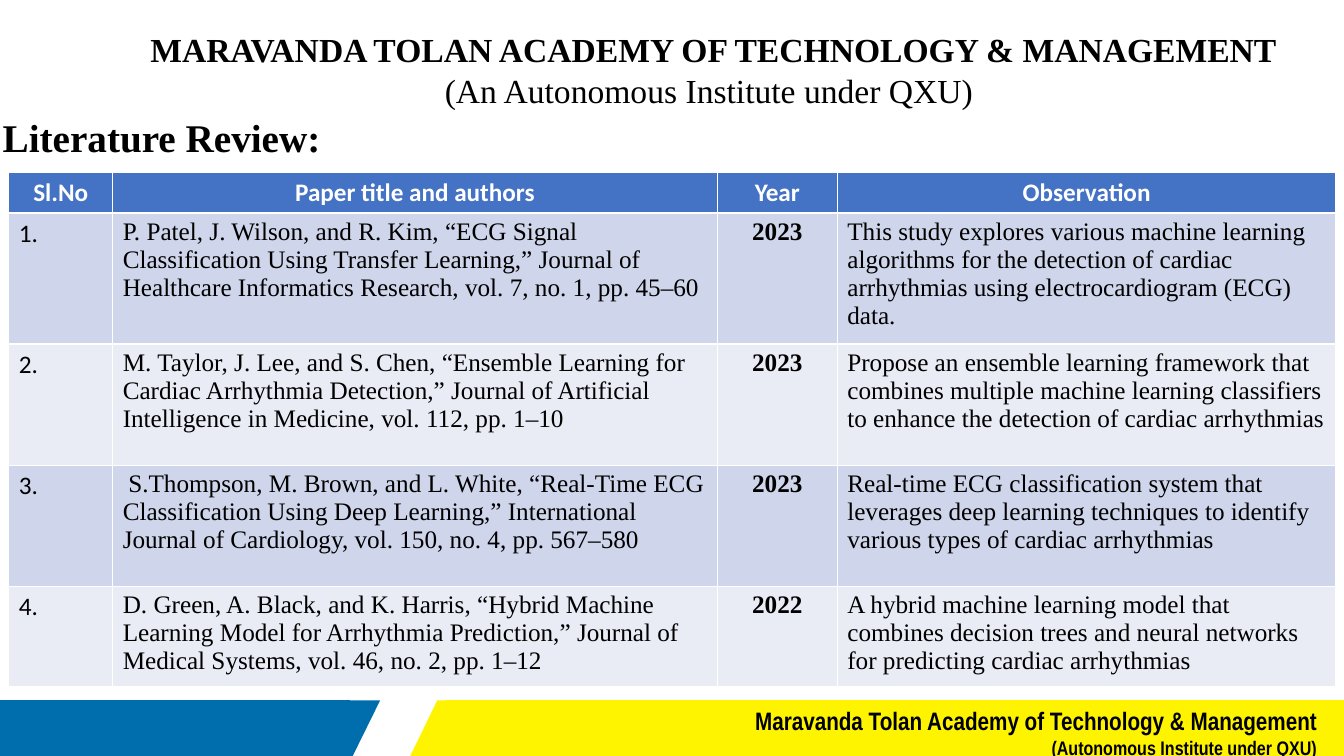
"""Build the literature review slide with its heading, table and footer band."""
from dataclasses import dataclass

import pptx
import pptx.dml.color
import pptx.enum.text
import pptx.slide
import pptx.table
import pptx.text.text
import pptx.util

Cm = pptx.util.Cm
RGBColor = pptx.dml.color.RGBColor
Align = pptx.enum.text.PP_ALIGN

BLACK = RGBColor(0x00, 0x00, 0x00)
WHITE = RGBColor(0xFF, 0xFF, 0xFF)
YELLOW = RGBColor(0xFF, 0xF4, 0x00)
BLUE = RGBColor(0x00, 0x6E, 0xAD)
HEADER_FILL = RGBColor(0x44, 0x72, 0xC4)
ROW_FILLS = (RGBColor(0xCF, 0xD5, 0xEA), RGBColor(0xE9, 0xEB, 0xF5))

SERIF = "Times New Roman"
SANS = "Calibri"
NARROW = "Arial Narrow"

SLIDE_WIDTH = 33.87
SLIDE_HEIGHT = 19.05
BAND_TOP = 17.65
COLUMN_WIDTHS = (2.62, 15.24, 3.02, 12.57)
ROW_HEIGHTS = (0.94, 3.05, 3.05, 3.05, 2.36)


@dataclass(frozen=True)
class Band:
    """A footer piece given by its left and right ends on top and bottom."""
    top_left: float
    top_right: float
    bottom_left: float
    bottom_right: float
    color: RGBColor


@dataclass(frozen=True)
class Line:
    """A paragraph and its look; indent is the first-line indent in cm."""
    text: str
    size: float
    font: str
    bold: bool = False
    align: Align = Align.LEFT
    color: RGBColor = BLACK
    indent: float = 0


@dataclass(frozen=True)
class TextBox:
    """A text box with its place and inner margins in cm."""
    left: float
    top: float
    width: float
    height: float
    lines: tuple[Line, ...]
    margins: tuple[float, float, float, float] = (0.25, 0.13, 0.25, 0.13)


@dataclass(frozen=True)
class Paper:
    """A reviewed paper."""
    citation: str
    year: int
    observation: str
    indent: float = 0


BANDS = (
    Band(11.02, 13.55, 10.34, 12.85, YELLOW),
    Band(7.06, 9.58, 6.38, 8.89, BLUE),
    Band(11.25, SLIDE_WIDTH, 11.25, SLIDE_WIDTH, YELLOW),
    Band(0, 8.81, 0, 8.81, BLUE),
)

TEXT_BOXES = (
    TextBox(2.69, 0.61, 30.35, 2.31, (
        Line("MARAVANDA TOLAN ACADEMY OF TECHNOLOGY & MANAGEMENT", 24, SERIF, True, indent=0.85),
        Line("(An Autonomous Institute under QXU)", 24, SERIF, align=Align.CENTER),
    )),
    TextBox(13.54, 17.7, 19.66, 1.45, (
        Line("Maravanda Tolan Academy of Technology & Management", 18, NARROW, True, Align.RIGHT),
        Line("(Autonomous Institute under QXU)", 14, NARROW, True, Align.RIGHT),
    ), (0, 0.08, 0, 0)),
    TextBox(-0.43, 2.72, 29.62, 6.25, (
        Line("Literature Review:", 28, SERIF, True),
    ), (0.5, 0.13, 0.25, 0.13)),
)

HEADINGS = ("Sl.No", "Paper title and authors", "Year", "Observation")

PAPERS = (
    Paper("P. Patel, J. Wilson, and R. Kim, “ECG Signal Classification Using Transfer Learning,” "
          "Journal of Healthcare Informatics Research, vol. 7, no. 1, pp. 45–60", 2023,
          "This study explores various machine learning algorithms for the detection of cardiac "
          "arrhythmias using electrocardiogram (ECG) data."),
    Paper("M. Taylor, J. Lee, and S. Chen, “Ensemble Learning for Cardiac Arrhythmia Detection,” "
          "Journal of Artificial Intelligence in Medicine, vol. 112, pp. 1–10", 2023,
          "Propose an ensemble learning framework that combines multiple machine learning "
          "classifiers to enhance the detection of cardiac arrhythmias"),
    Paper("S.Thompson, M. Brown, and L. White, “Real-Time ECG Classification Using Deep Learning,” "
          "International Journal of Cardiology, vol. 150, no. 4, pp. 567–580", 2023,
          "Real-time ECG classification system that leverages deep learning techniques to identify "
          "various types of cardiac arrhythmias", 0.14),
    Paper("D. Green, A. Black, and K. Harris, “Hybrid Machine Learning Model for Arrhythmia "
          "Prediction,” Journal of Medical Systems, vol. 46, no. 2, pp. 1–12", 2022,
          "A hybrid machine learning model that combines decision trees and neural networks for "
          "predicting cardiac arrhythmias"),
)


def write_line(paragraph: pptx.text.text._Paragraph, line: Line) -> None:
    """Fill a paragraph with a line of text and format it."""
    paragraph.text = line.text
    paragraph.alignment = line.align
    paragraph.font.name = line.font
    paragraph.font.size = pptx.util.Pt(line.size)
    paragraph.font.bold = line.bold
    paragraph.font.color.rgb = line.color
    if line.indent:
        properties = paragraph._p.get_or_add_pPr()
        properties.set("marL", "0")
        properties.set("indent", str(Cm(line.indent)))


def draw_band(slide: pptx.slide.Slide, band: Band) -> None:
    """Draw one piece of the footer band."""
    builder = slide.shapes.build_freeform(Cm(band.top_right), Cm(BAND_TOP))
    builder.add_line_segments((
        (Cm(band.top_left), Cm(BAND_TOP)),
        (Cm(band.bottom_left), Cm(SLIDE_HEIGHT)),
        (Cm(band.bottom_right), Cm(SLIDE_HEIGHT)),
    ))
    shape = builder.convert_to_shape()
    shape.shadow.inherit = False
    shape.fill.solid()
    shape.fill.fore_color.rgb = band.color
    shape.line.fill.background()


def draw_text_box(slide: pptx.slide.Slide, box: TextBox) -> None:
    """Draw a wrapped text box."""
    shape = slide.shapes.add_textbox(Cm(box.left), Cm(box.top), Cm(box.width), Cm(box.height))
    frame = shape.text_frame
    frame.word_wrap = True
    frame.margin_left, frame.margin_top, frame.margin_right, frame.margin_bottom = map(Cm, box.margins)
    for index, line in enumerate(box.lines):
        write_line(frame.add_paragraph() if index else frame.paragraphs[0], line)


def fill_row(table: pptx.table.Table, row: int, fill: RGBColor, lines: tuple[Line, ...]) -> None:
    """Write and colour the cells of one table row."""
    for column, line in enumerate(lines):
        cell = table.cell(row, column)
        cell.fill.solid()
        cell.fill.fore_color.rgb = fill
        write_line(cell.text_frame.paragraphs[0], line)


def draw_review_table(slide: pptx.slide.Slide) -> None:
    """Draw the table of reviewed papers."""
    table = slide.shapes.add_table(
        len(ROW_HEIGHTS), len(COLUMN_WIDTHS), Cm(0.22), Cm(4.35),
        Cm(sum(COLUMN_WIDTHS)), Cm(sum(ROW_HEIGHTS))).table
    for column, width in zip(table.columns, COLUMN_WIDTHS):
        column.width = Cm(width)
    for row, height in zip(table.rows, ROW_HEIGHTS):
        row.height = Cm(height)
    fill_row(table, 0, HEADER_FILL, tuple(
        Line(heading, 18, SANS, True, Align.CENTER, WHITE) for heading in HEADINGS))
    for number, paper in enumerate(PAPERS, start=1):
        fill_row(table, number, ROW_FILLS[(number - 1) % 2], (
            Line(f"{number}.", 18, SANS),
            Line(paper.citation, 18, SERIF, indent=paper.indent),
            Line(str(paper.year), 18, SERIF, True, Align.CENTER),
            Line(paper.observation, 18, SERIF),
        ))


def main() -> None:
    """Build and save the presentation."""
    presentation = pptx.Presentation()
    presentation.slide_width = Cm(SLIDE_WIDTH)
    presentation.slide_height = Cm(SLIDE_HEIGHT)
    slide = presentation.slides.add_slide(presentation.slide_layouts[6])
    for band in BANDS:
        draw_band(slide, band)
    for box in TEXT_BOXES:
        draw_text_box(slide, box)
    draw_review_table(slide)
    presentation.save("out.pptx")


if __name__ == "__main__":
    main()
